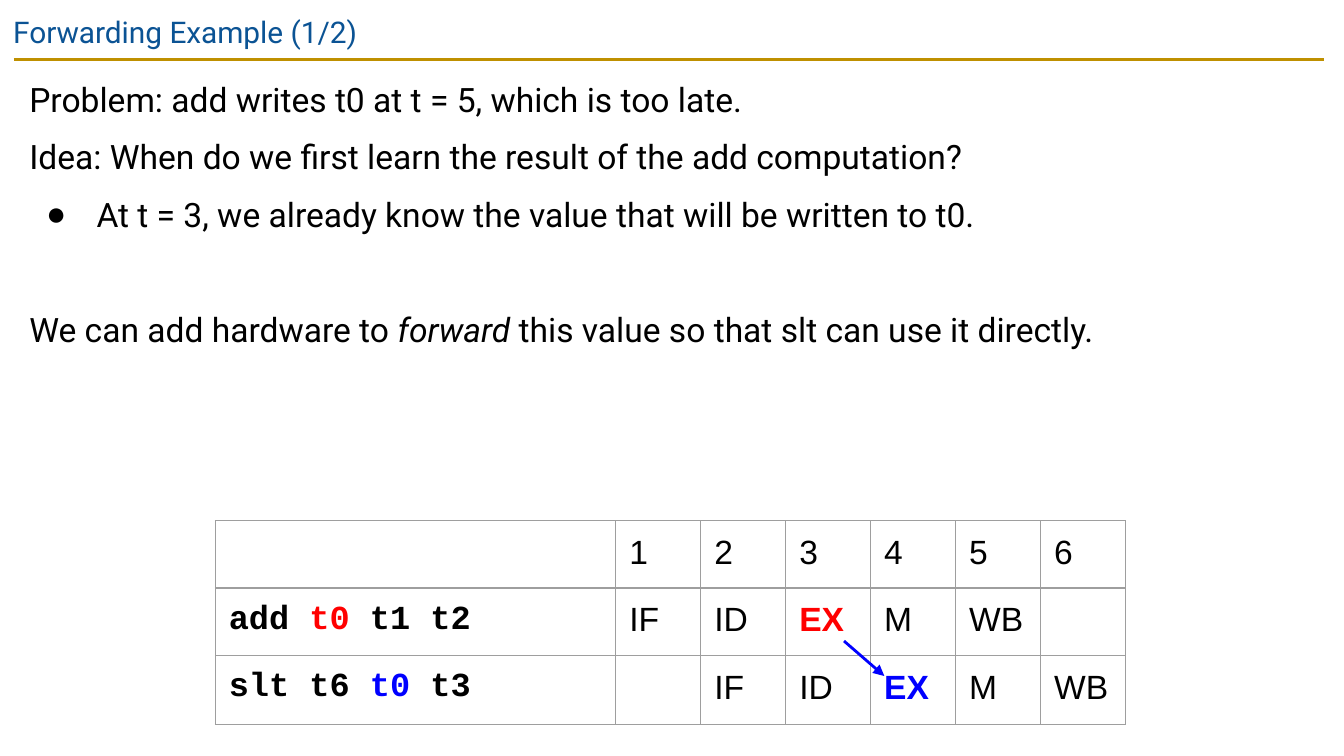
import pptx
import pptx.dml.color
import pptx.enum.shapes
import pptx.oxml
import pptx.oxml.ns
import pptx.util
from lxml import etree

PX = 2286  # EMU per px, 400 px to the inch
THEME = {
    "title": "0B5394", "rule": "BF9000", "text": "000000", "grid": "9E9E9E",
    "source": "FF0000", "target": "0000FF",
    "sans": "Roboto", "cell": "Arial", "code": "Courier New",
    "title_size": 16, "text_size": 18, "line": 1.5, "grid_line": 0.75,
}
INSET = 40


def write(paragraph, pieces, font, size=THEME["text_size"]):
    """Fill a paragraph from (text, color, bold, italic) pieces."""
    for text, color, bold, italic in pieces:
        run = paragraph.add_run()
        run.text = text
        run.font.name = font
        run.font.size = pptx.util.Pt(size)
        run.font.bold = bold
        run.font.italic = italic
        run.font.color.rgb = pptx.dml.color.RGBColor.from_string(THEME[color])


def add_line(shapes, start, end, color):
    line = shapes.add_connector(
        pptx.enum.shapes.MSO_CONNECTOR.STRAIGHT, *[v * PX for v in start + end])
    line.line.color.rgb = pptx.dml.color.RGBColor.from_string(THEME[color])
    line.line.width = pptx.util.Pt(THEME["line"])
    etree.SubElement(line._element.spPr, pptx.oxml.ns.qn("a:effectLst"))
    return line


presentation = pptx.Presentation()
presentation.slide_width = 4000 * PX
presentation.slide_height = 2250 * PX
slide = presentation.slides.add_slide(presentation.slide_layouts[6])
shapes = slide.shapes

# Title and body boxes
add_line(shapes, (41, 177), (3941, 177), "rule")
frames = []
for box in [(0, 0, 4000, 172), (48, 176, 3896, 1980)]:
    frame = shapes.add_textbox(*[v * PX for v in box]).text_frame
    frame.word_wrap = True
    frame.margin_left = frame.margin_right = INSET * PX
    frame.margin_top = frame.margin_bottom = INSET * PX
    frames.append(frame)
title, body = frames
write(title.paragraphs[0], [("Forwarding Example (1/2)", "title", False, False)],
      THEME["sans"], THEME["title_size"])

# Body text: space before in points, bullet flag, (text, italic) pieces
body_lines = [
    (0, False, [("Problem: add writes t0 at t = 5, which is too late.", False)]),
    (6, False, [("Idea: When do we first learn the result of the add computation?", False)]),
    (6, True, [("At t = 3, we already know the value that will be written to t0.", False)]),
    (37, False, [("We can add hardware to ", False), ("forward", True),
                 (" this value so that slt can use it directly.", False)]),
]
for index, (space, bulleted, pieces) in enumerate(body_lines):
    paragraph = body.add_paragraph() if index else body.paragraphs[0]
    paragraph.line_spacing = 1.15
    paragraph.space_before = pptx.util.Pt(space)
    if bulleted:
        properties = paragraph._p.get_or_add_pPr()
        properties.set("marL", str(200 * PX))
        properties.set("indent", str(-150 * PX))
        color = etree.SubElement(properties, pptx.oxml.ns.qn("a:buClr"))
        etree.SubElement(color, pptx.oxml.ns.qn("a:srgbClr"), val=THEME["text"])
        etree.SubElement(properties, pptx.oxml.ns.qn("a:buFont"), typeface=THEME["cell"])
        etree.SubElement(properties, pptx.oxml.ns.qn("a:buChar"), char="●")
    write(paragraph, [(text, "text", False, italic) for text, italic in pieces],
          THEME["sans"])

# Pipeline table: instruction, stages by cycle, color of the forwarded value
pipeline = [
    ([], ["1", "2", "3", "4", "5", "6"], "text"),
    (["add ", "t0", " t1 t2"], ["IF", "ID", "EX", "M", "WB", ""], "source"),
    (["slt t6 ", "t0", " t3"], ["", "IF", "ID", "EX", "M", "WB"], "target"),
]
widths = [1192] + [253] * 6
heights = [200, 196, 206]
table = shapes.add_table(len(heights), len(widths), 641 * PX, 1550 * PX,
                         sum(widths) * PX, sum(heights) * PX).table
table.first_row = False
table.horz_banding = False
for column, width in zip(table.columns, widths):
    column.width = width * PX
for row, height in zip(table.rows, heights):
    row.height = height * PX

for row, (instruction, stages, accent) in zip(table.rows, pipeline):
    for cell in row.cells:
        cell.margin_left = cell.margin_right = INSET * PX
        cell.margin_top = cell.margin_bottom = INSET * PX
        properties = cell._tc.get_or_add_tcPr()
        for side in ("a:lnL", "a:lnR", "a:lnT", "a:lnB"):
            border = etree.SubElement(properties, pptx.oxml.ns.qn(side),
                                      w=str(pptx.util.Pt(THEME["grid_line"])))
            fill = etree.SubElement(border, pptx.oxml.ns.qn("a:solidFill"))
            etree.SubElement(fill, pptx.oxml.ns.qn("a:srgbClr"), val=THEME["grid"])
        cell.fill.background()
    name, *cycles = row.cells
    write(name.text_frame.paragraphs[0],
          [(text, accent if text == "t0" else "text", True, False) for text in instruction],
          THEME["code"])
    for cell, stage in zip(cycles, stages):
        paragraph = cell.text_frame.paragraphs[0]
        if stage:
            forwarded = stage == "EX"
            write(paragraph, [(stage, accent if forwarded else "text", forwarded, False)],
                  THEME["cell"])
        else:
            # An empty cell keeps the row height of the cell font
            ending = etree.SubElement(paragraph._p, pptx.oxml.ns.qn("a:endParaRPr"),
                                      sz=str(THEME["text_size"] * 100))
            etree.SubElement(ending, pptx.oxml.ns.qn("a:latin"), typeface=THEME["cell"])

# Forwarding arrow
arrow = add_line(shapes, (2512, 1908), (2632, 2012), "target")
etree.SubElement(arrow.line._get_or_add_ln(), pptx.oxml.ns.qn("a:tailEnd"), type="triangle")

presentation.save("out.pptx")
